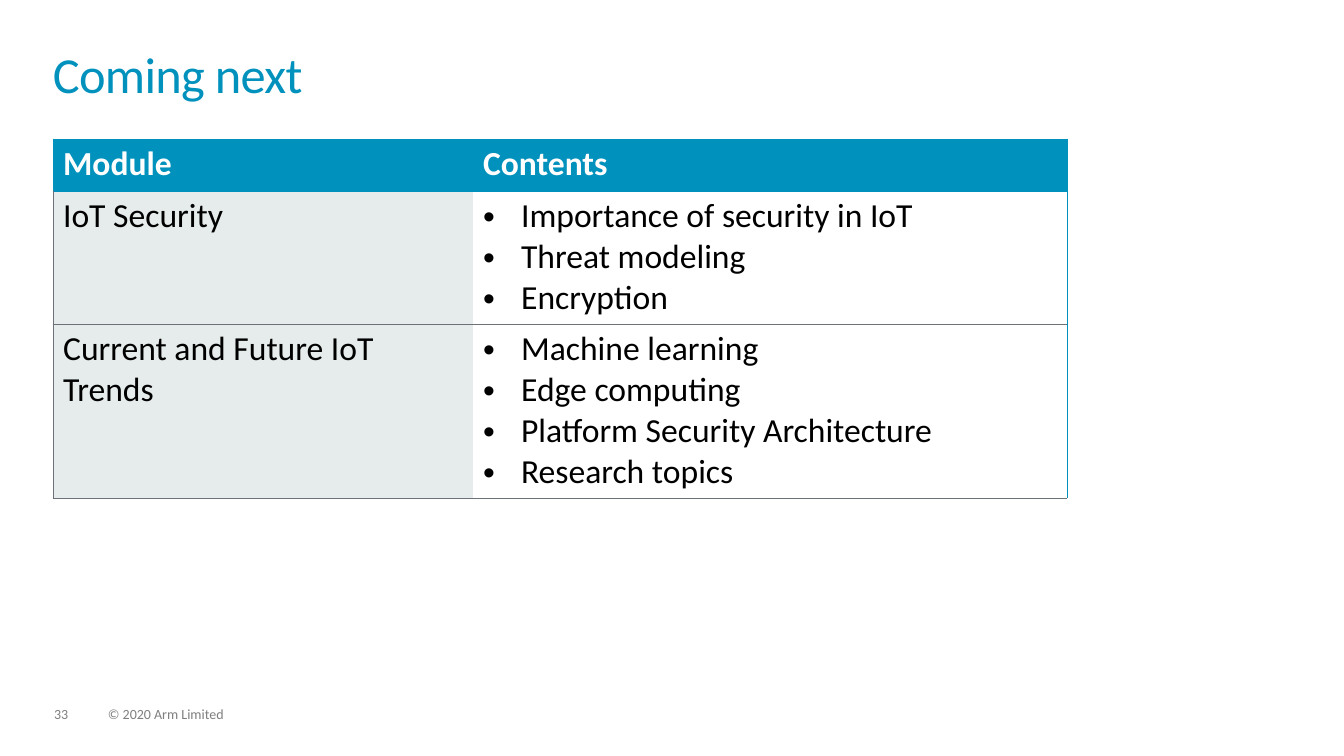
from lxml import etree
from pptx import Presentation
from pptx.dml.color import RGBColor
from pptx.enum.text import MSO_ANCHOR
from pptx.oxml.ns import qn
from pptx.util import Emu, Pt

TOP = MSO_ANCHOR.TOP
SCALE = 914400 / 100.8
FONT = "Calibri"
NO_STYLE = "{2D5ABB26-0587-4C30-8999-92F81FD0307C}"
COLORS = {"blue": "0091BD", "rule": "6B7278", "label": "E5ECEB",
          "white": "FFFFFF", "black": "000000", "gray": "7F7F7F"}

COLUMNS = [420, 594]
ROW_HEIGHTS = [52, 133, 174]
HEADER = ["Module", "Contents"]
MODULES = [
    ("IoT Security",
     ["Importance of security in IoT", "Threat modeling", "Encryption"]),
    ("Current and Future IoT Trends",
     ["Machine learning", "Edge computing", "Platform Security Architecture",
      "Research topics"]),
]


def px(n):
    return Emu(round(n * SCALE))


def rgb(name):
    return RGBColor.from_string(COLORS[name])


def add_run(p, text, size, color, bold=False):
    r = p.add_run()
    r.text = text
    for key, value in {"name": FONT, "size": Pt(size), "bold": bold}.items():
        setattr(r.font, key, value)
    r.font.color.rgb = rgb(color)
    return r


def add_text(s, box, text, size, color, paragraph, spacing=None):
    tf = s.shapes.add_textbox(*map(px, box)).text_frame
    frame = {"margin_left": 0, "margin_top": 0, "margin_right": 0,
             "margin_bottom": 0, "word_wrap": True, "vertical_anchor": TOP}
    for key, value in frame.items():
        setattr(tf, key, value)
    p = tf.paragraphs[0]
    for key, value in paragraph.items():
        setattr(p, key, value)
    r = add_run(p, text, size, color)
    if spacing is not None:
        r.font._element.set("spc", str(spacing))


def add_bullet(p):
    pPr = p._p.get_or_add_pPr()
    pPr.set("marL", str(px(38)))
    pPr.set("indent", str(-px(38)))
    etree.SubElement(pPr, qn("a:buFont")).set("typeface", "Arial")
    etree.SubElement(pPr, qn("a:buChar")).set("char", "•")


def set_borders(cell, borders):
    tcPr = cell._tc.get_or_add_tcPr()
    for side in "LRTB":
        ln = etree.SubElement(tcPr, qn("a:ln" + side), w=str(Pt(0.5)))
        if side in borders:
            fill = etree.SubElement(ln, qn("a:solidFill"))
            etree.SubElement(fill, qn("a:srgbClr"), val=COLORS[borders[side]])
        else:
            etree.SubElement(ln, qn("a:noFill"))


def fill_cell(cell, lines, fill, color, borders, bold=False, bullets=False):
    set_borders(cell, borders)
    cell.fill.solid()
    cell.fill.fore_color.rgb = rgb(fill)
    tf = cell.text_frame
    for i, line in enumerate(lines):
        p = tf.add_paragraph() if i else tf.paragraphs[0]
        if bullets:
            add_bullet(p)
        add_run(p, line, 24, color, bold)


def add_module_table(s, left, top):
    frame = s.shapes.add_table(len(ROW_HEIGHTS), len(COLUMNS), px(left), px(top),
                               px(sum(COLUMNS)), px(sum(ROW_HEIGHTS)))
    table = frame.table
    table.horz_banding = False
    table._tbl.tblPr.find(qn("a:tableStyleId")).text = NO_STYLE
    for column, width in zip(table.columns, COLUMNS):
        column.width = px(width)
    for row, height in zip(table.rows, ROW_HEIGHTS):
        row.height = px(height)

    # Header row
    for i, (text, side) in enumerate(zip(HEADER, "LR")):
        fill_cell(table.cell(0, i), [text], "blue", "white",
                  {side: "blue", "T": "blue", "B": "blue"}, bold=True)

    # Module rows
    for i, (module, contents) in enumerate(MODULES, 1):
        rules = {"T": "blue" if i == 1 else "rule", "B": "rule"}
        fill_cell(table.cell(i, 0), [module], "label", "black",
                  {"L": "rule", **rules})
        fill_cell(table.cell(i, 1), contents, "white", "black",
                  {"R": "blue", **rules}, bullets=True)


def main():
    prs = Presentation()
    prs.slide_width, prs.slide_height = px(1344), px(756)
    s = prs.slides.add_slide(prs.slide_layouts[6])

    # Title
    add_text(s, (53, 52, 1238, 73), "Coming next", 36, "blue",
             {"line_spacing": 0.85}, spacing=-50)

    # Modules and their contents
    add_module_table(s, 53, 139)

    # Footer
    footer = {"line_spacing": 0.9, "space_after": Pt(6)}
    add_text(s, (54, 707, 34, 15), "33", 10, "gray", footer)
    add_text(s, (108, 707, 172, 15), "© 2020 Arm Limited", 10, "gray", footer)

    prs.save("out.pptx")


if __name__ == "__main__":
    main()
